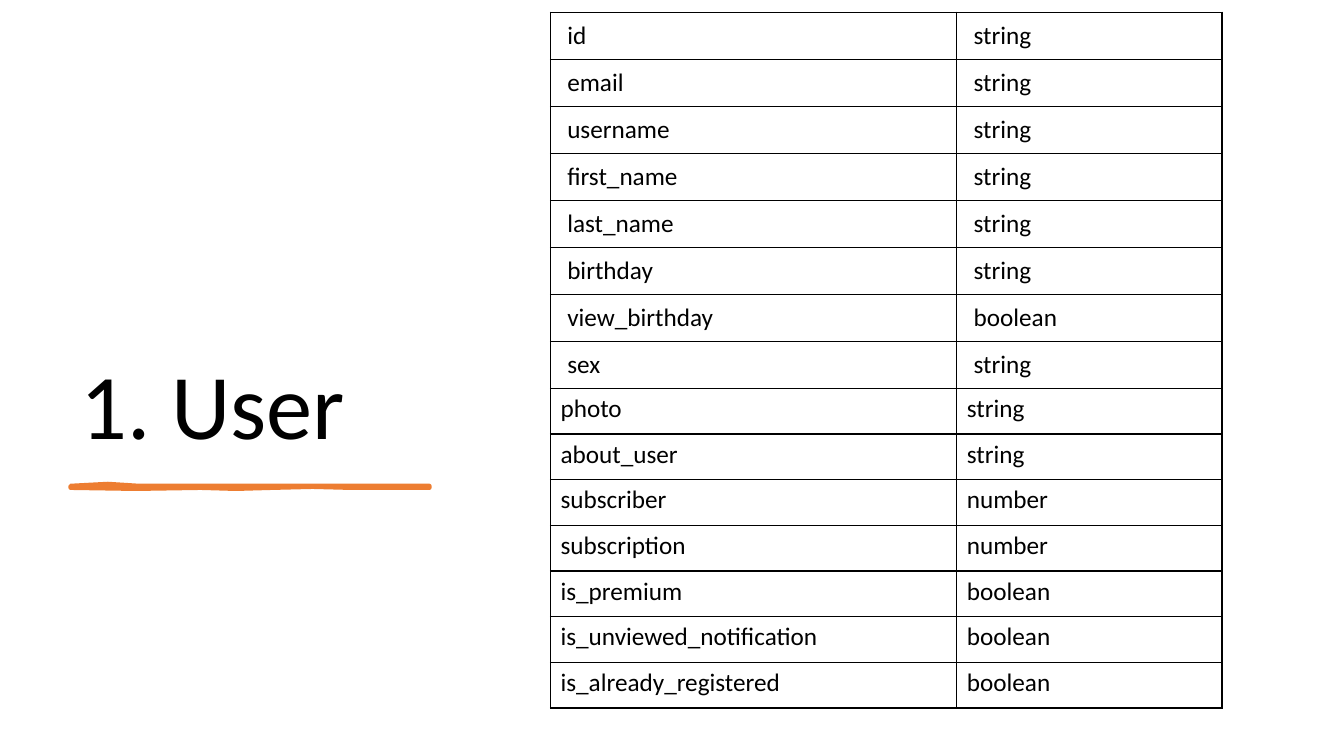
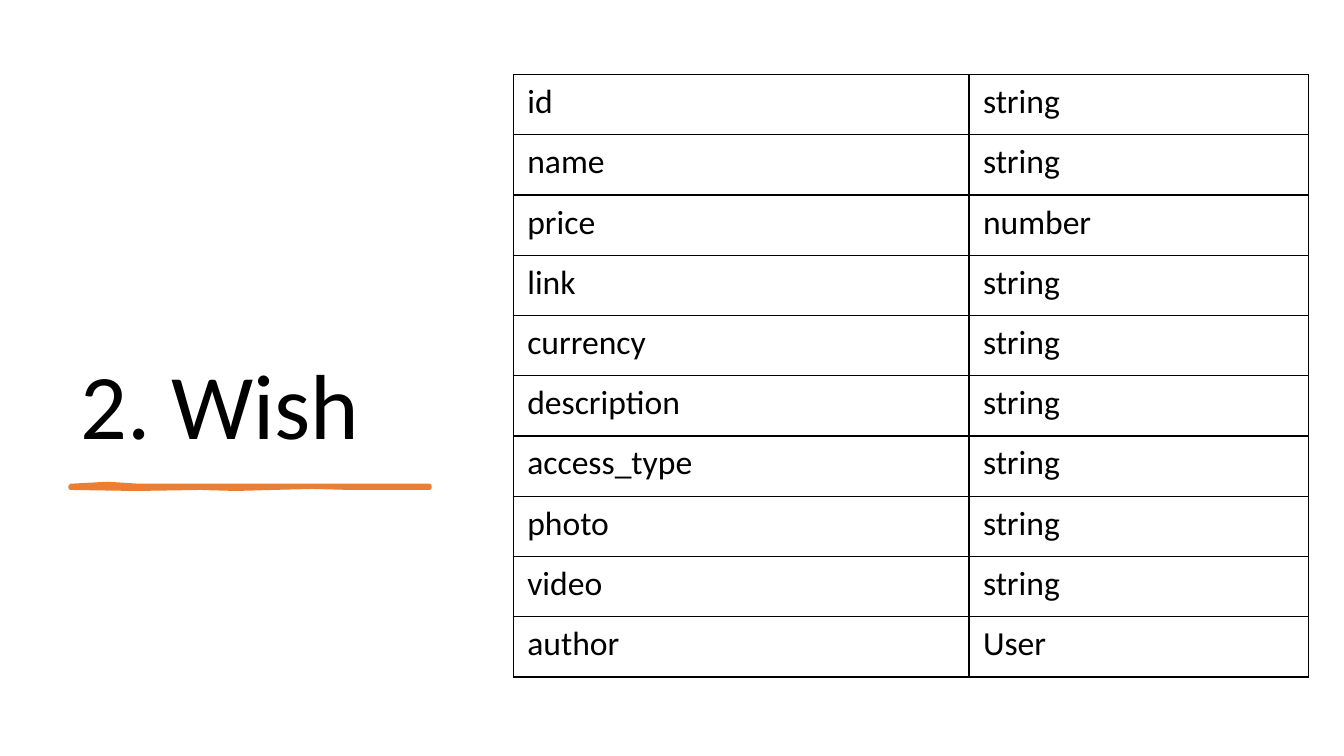
from lxml import etree
from pptx import Presentation
from pptx.dml.color import RGBColor
from pptx.enum.text import MSO_ANCHOR
from pptx.oxml.ns import qn
from pptx.util import Inches, Pt

BOTTOM = MSO_ANCHOR.BOTTOM
BLACK = RGBColor(0x00, 0x00, 0x00)
WHITE = RGBColor(0xFF, 0xFF, 0xFF)
ORANGE = RGBColor(0xED, 0x7D, 0x31)
FONT = "Calibri"

# Margins are (horizontal, vertical); rows with wide margins grow to fit their text.
WIDE_MARGINS = (1 / 6, 1 / 12)
NORMAL_MARGINS = (0.1, 0.05)
LARGE_TEXT_MARGINS = (0.14, 0.07)

ENTITIES = [
    {
        "title": "1. User",
        "at": (5.46, 0.12),
        "height": 6.8,
        "columns": (4.03, 2.63),
        "font_size": 18,
        "wide_rows": 8,
        "margins": NORMAL_MARGINS,
        "fields": [
            ("id", "string"),
            ("email", "string"),
            ("username", "string"),
            ("first_name", "string"),
            ("last_name", "string"),
            ("birthday", "string"),
            ("view_birthday", "boolean"),
            ("sex", "string"),
            ("photo", "string"),
            ("about_user", "string"),
            ("subscriber", "number"),
            ("subscription", "number"),
            ("is_premium", "boolean"),
            ("is_unviewed_notification", "boolean"),
            ("is_already_registered", "boolean"),
        ],
    },
    {
        "title": "2. Wish",
        "at": (5.09, 0.74),
        "height": 5.98,
        "columns": (4.52, 3.37),
        "font_size": 24,
        "wide_rows": 0,
        "margins": LARGE_TEXT_MARGINS,
        "fields": [
            ("id", "string"),
            ("name", "string"),
            ("price", "number"),
            ("link", "string"),
            ("currency", "string"),
            ("description", "string"),
            ("access_type", "string"),
            ("photo", "string"),
            ("video", "string"),
            ("author", "User"),
        ],
    },
]

# The brush stroke runs along its upper edge and back along its lower edge.
BRUSH_OUTLINE = [
    (0.7, 4.82), (1.07, 4.8), (1.38, 4.82), (2.09, 4.82), (2.84, 4.82),
    (3.23, 4.82), (3.59, 4.82), (3.95, 4.82), (4.26, 4.82),
    (4.26, 4.84), (3.88, 4.84), (3.48, 4.84), (3.1, 4.83), (2.7, 4.84),
    (2.34, 4.85), (1.99, 4.84), (1.35, 4.85), (0.7, 4.84),
]


def format_text(paragraph, size):
    font = paragraph.runs[0].font
    font.name = FONT
    font.size = Pt(size)
    font.color.rgb = BLACK


def add_title(slide, title):
    box = slide.shapes.add_textbox(Inches(0.7), Inches(0.7), Inches(3.91), Inches(3.91))
    frame = box.text_frame
    frame.word_wrap = True
    frame.vertical_anchor = BOTTOM
    frame.text = title
    frame.paragraphs[0].line_spacing = 0.9
    format_text(frame.paragraphs[0], 66)


def add_brush_stroke(slide):
    start, *rest = [(Inches(x), Inches(y)) for x, y in BRUSH_OUTLINE]
    builder = slide.shapes.build_freeform(*start)
    builder.add_line_segments(rest, close=True)
    stroke = builder.convert_to_shape()
    stroke.shadow.inherit = False
    stroke.fill.solid()
    stroke.fill.fore_color.rgb = ORANGE
    stroke.line.color.rgb = ORANGE
    stroke.line.width = Pt(3)


def add_borders(cell):
    properties = cell._tc.get_or_add_tcPr()
    for side in ("a:lnL", "a:lnR", "a:lnT", "a:lnB"):
        border = etree.SubElement(properties, qn(side), w=str(Pt(1)))
        fill = etree.SubElement(border, qn("a:solidFill"))
        etree.SubElement(fill, qn("a:srgbClr"), val=str(BLACK))


def fill_cell(cell, text, size, margins):
    cell.text = text
    format_text(cell.text_frame.paragraphs[0], size)
    cell.margin_left = cell.margin_right = Inches(margins[0])
    cell.margin_top = cell.margin_bottom = Inches(margins[1])
    add_borders(cell)
    cell.fill.background()


def add_field_table(slide, entity):
    fields, columns = entity["fields"], entity["columns"]
    left, top = entity["at"]
    table = slide.shapes.add_table(
        len(fields), len(columns), Inches(left), Inches(top),
        Inches(sum(columns)), Inches(entity["height"]),
    ).table
    table.first_row = False
    table.horz_banding = False
    for column, width in zip(table.columns, columns):
        column.width = Inches(width)
    for index, field in enumerate(fields):
        margins = WIDE_MARGINS if index < entity["wide_rows"] else entity["margins"]
        for column, text in enumerate(field):
            fill_cell(table.cell(index, column), text, entity["font_size"], margins)


def main():
    deck = Presentation()
    deck.slide_width, deck.slide_height = Inches(13.33), Inches(7.5)
    blank = deck.slide_layouts[6]
    for entity in ENTITIES:
        slide = deck.slides.add_slide(blank)
        slide.background.fill.solid()
        slide.background.fill.fore_color.rgb = WHITE
        add_title(slide, entity["title"])
        add_brush_stroke(slide)
        add_field_table(slide, entity)
    deck.save("out.pptx")


if __name__ == "__main__":
    main()
